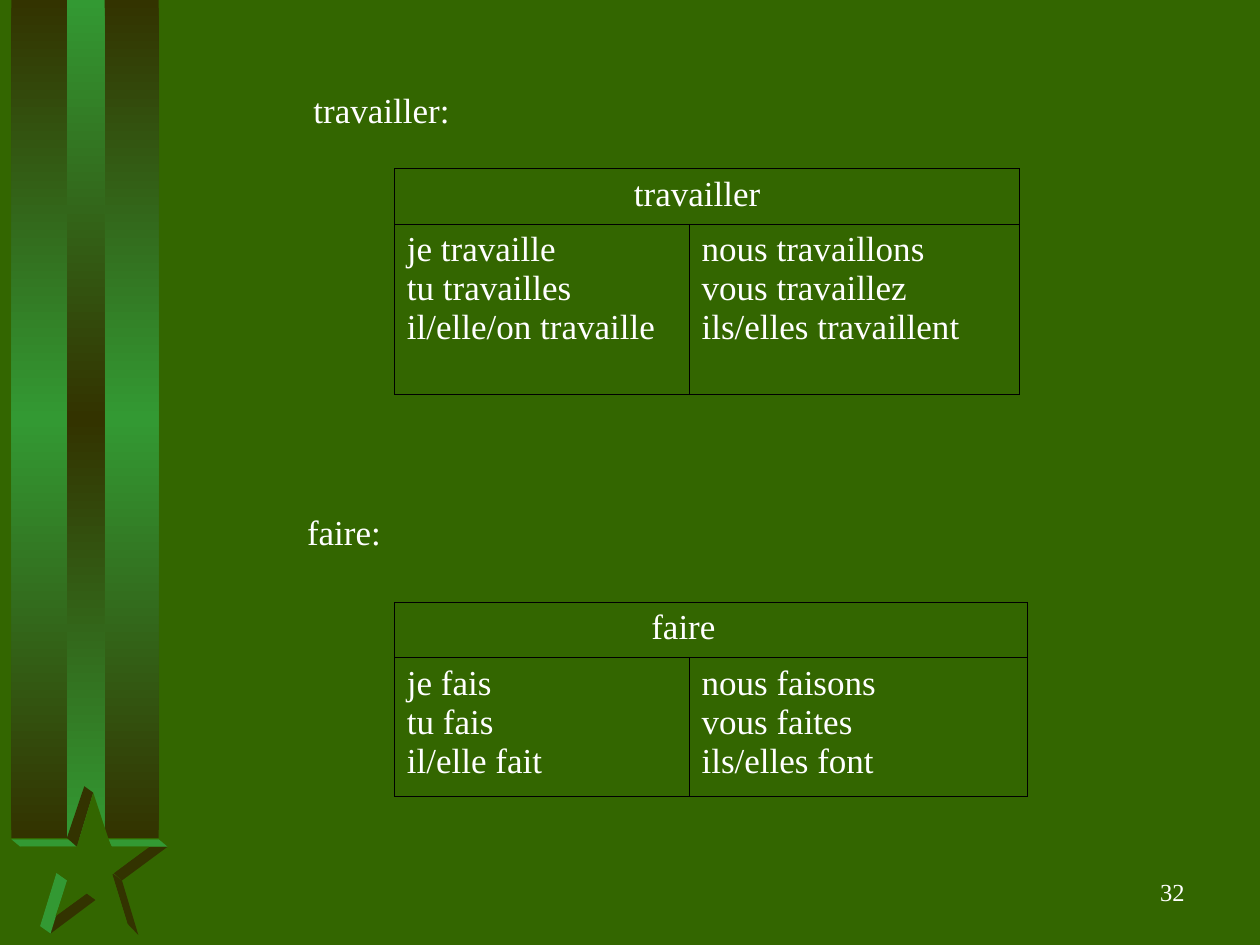
from copy import deepcopy

from lxml import etree
from pptx import Presentation
from pptx import util as u
from pptx.dml.color import RGBColor
from pptx.enum import shapes, text
from pptx.oxml import ns

GREEN = RGBColor(0x33, 0x66, 0x00)
LIGHT = RGBColor(0x33, 0x99, 0x33)
DARK = RGBColor(0x33, 0x33, 0x00)
WHITE = RGBColor(0xFF, 0xFF, 0xFF)
BORDER = RGBColor(0x00, 0x00, 0x00)
FONT = {"name": "Times New Roman", "size": u.Pt(20)}

STAR_FACETS = [
    (DARK, [(2.29, 17.6), (2.46, 17.75), (3.38, 17.07), (3.02, 17.07)]),
    (LIGHT, [(0.23, 16.92), (0.41, 17.07), (1.57, 17.07), (1.37, 16.92)]),
    (DARK, [(1.55, 17.07), (1.88, 15.98), (1.7, 15.85), (1.35, 16.89)]),
    (LIGHT, [(2.26, 17.07), (2.18, 16.92), (3.2, 16.92), (3.38, 17.07)]),
    (DARK, [(0.84, 18.67), (1.02, 18.82), (1.93, 18.14), (1.75, 18.01)]),
    (DARK, [(2.57, 18.62), (2.79, 18.85), (2.46, 17.75), (2.26, 17.6)]),
    (LIGHT, [(1.02, 18.82), (1.35, 17.75), (1.14, 17.6), (0.81, 18.67)]),
    (GREEN, [(1.88, 15.98), (1.55, 17.07), (0.41, 17.07), (1.37, 17.75),
             (1.12, 18.47), (1.75, 18.01), (2.57, 18.62), (2.26, 17.63),
             (3.0, 17.07), (2.24, 17.07)]),
]


def write(frame, lines, **font_values):
    """Fill a text frame with one styled paragraph per line."""
    frame.text = "\n".join(lines)
    for paragraph in frame.paragraphs:
        for key, value in {**FONT, **font_values}.items():
            setattr(paragraph.font, key, value)
        paragraph.font.color.rgb = WHITE


def add_stripe(slide, left, width, edge, middle):
    """Draw a vertical stripe that fades from edge to middle and back."""
    stripe = slide.shapes.add_shape(shapes.MSO_SHAPE.RECTANGLE, u.Cm(left), 0,
                                    u.Cm(width), u.Cm(16.89))
    stripe.shadow.inherit = False
    stripe.line.fill.background()
    stripe.fill.gradient()
    stripe.fill.gradient_angle = 90
    stops = stripe.element.spPr.find(".//" + ns.qn("a:gsLst"))
    stops.append(deepcopy(stops[-1]))
    for stop, position, color in zip(stripe.fill.gradient_stops, (0, 0.5, 1),
                                     (edge, middle, edge)):
        stop.position = position
        stop.color.rgb = color


def add_facet(slide, color, points):
    """Draw one flat, closed facet of the star."""
    start, *rest = [(u.Cm(x), u.Cm(y)) for x, y in points]
    builder = slide.shapes.build_freeform(*start)
    builder.add_line_segments(rest, close=True)
    facet = builder.convert_to_shape()
    facet.shadow.inherit = False
    facet.fill.solid()
    facet.fill.fore_color.rgb = color
    facet.line.fill.background()


def add_label(slide, words, left, top, width, height=1.12,
              align=text.PP_ALIGN.LEFT, anchor=text.MSO_ANCHOR.TOP, **font_values):
    """Place a line of text."""
    box = slide.shapes.add_textbox(*map(u.Cm, (left, top, width, height)))
    frame = box.text_frame
    frame.word_wrap = True
    frame.vertical_anchor = anchor
    write(frame, [words], **font_values)
    frame.paragraphs[0].alignment = align


def add_borders(cell):
    """Rule all four sides of a cell with a thin line."""
    properties = cell._tc.get_or_add_tcPr()
    for index, side in enumerate(("lnL", "lnR", "lnT", "lnB")):
        line = etree.Element(ns.qn("a:" + side), w=str(u.Pt(0.45)))
        fill = etree.SubElement(line, ns.qn("a:solidFill"))
        etree.SubElement(fill, ns.qn("a:srgbClr"), val=str(BORDER))
        properties.insert(index, line)


def add_conjugation(slide, top, widths, heights, verb, verb_inset, singular, plural):
    """Build a verb table with a merged heading over two columns of forms."""
    table = slide.shapes.add_table(2, 2, u.Cm(7.95), u.Cm(top), u.Cm(sum(widths)),
                                   u.Cm(sum(heights))).table
    table.first_row = table.horz_banding = False
    for column, width in zip(table.columns, widths):
        column.width = u.Cm(width)
    for row, height in zip(table.rows, heights):
        row.height = u.Cm(height)
    heading = table.cell(0, 0)
    heading.merge(table.cell(0, 1))
    heading.margin_left = u.Cm(verb_inset)
    for cell in table.iter_cells():
        cell.fill.background()
        add_borders(cell)
    write(heading.text_frame, [verb])
    for column, forms in enumerate((singular, plural)):
        write(table.cell(1, column).text_frame, forms)


def main():
    """Build the slide and save it."""
    deck = Presentation()
    deck.slide_width, deck.slide_height = u.Cm(25.4), u.Cm(19.05)
    slide = deck.slides.add_slide(deck.slide_layouts[6])
    slide.background.fill.solid()
    slide.background.fill.fore_color.rgb = GREEN

    add_stripe(slide, 0.23, 2.97, DARK, LIGHT)
    add_stripe(slide, 1.35, 0.76, LIGHT, DARK)
    for color, points in STAR_FACETS:
        add_facet(slide, color, points)

    add_conjugation(slide, 3.4, (5.94, 6.65), (1.12, 3.43), "travailler", 4.83,
                    ["je travaille", "tu travailles", "il/elle/on travaille"],
                    ["nous travaillons", "vous travaillez", "ils/elles travaillent"])
    add_conjugation(slide, 12.14, (5.94, 6.81), (1.12, 2.79), "faire", 5.18,
                    ["je fais", "tu fais", "il/elle fait"],
                    ["nous faisons", "vous faites", "ils/elles font"])
    add_label(slide, "travailler:", 6.07, 1.65, 3.89)
    add_label(slide, "faire:", 5.94, 10.16, 3.38)
    add_label(slide, "32", 18.85, 17.35, 5.28, 1.27, text.PP_ALIGN.RIGHT,
              text.MSO_ANCHOR.MIDDLE, size=u.Pt(14))
    deck.save("out.pptx")


if __name__ == "__main__":
    main()
